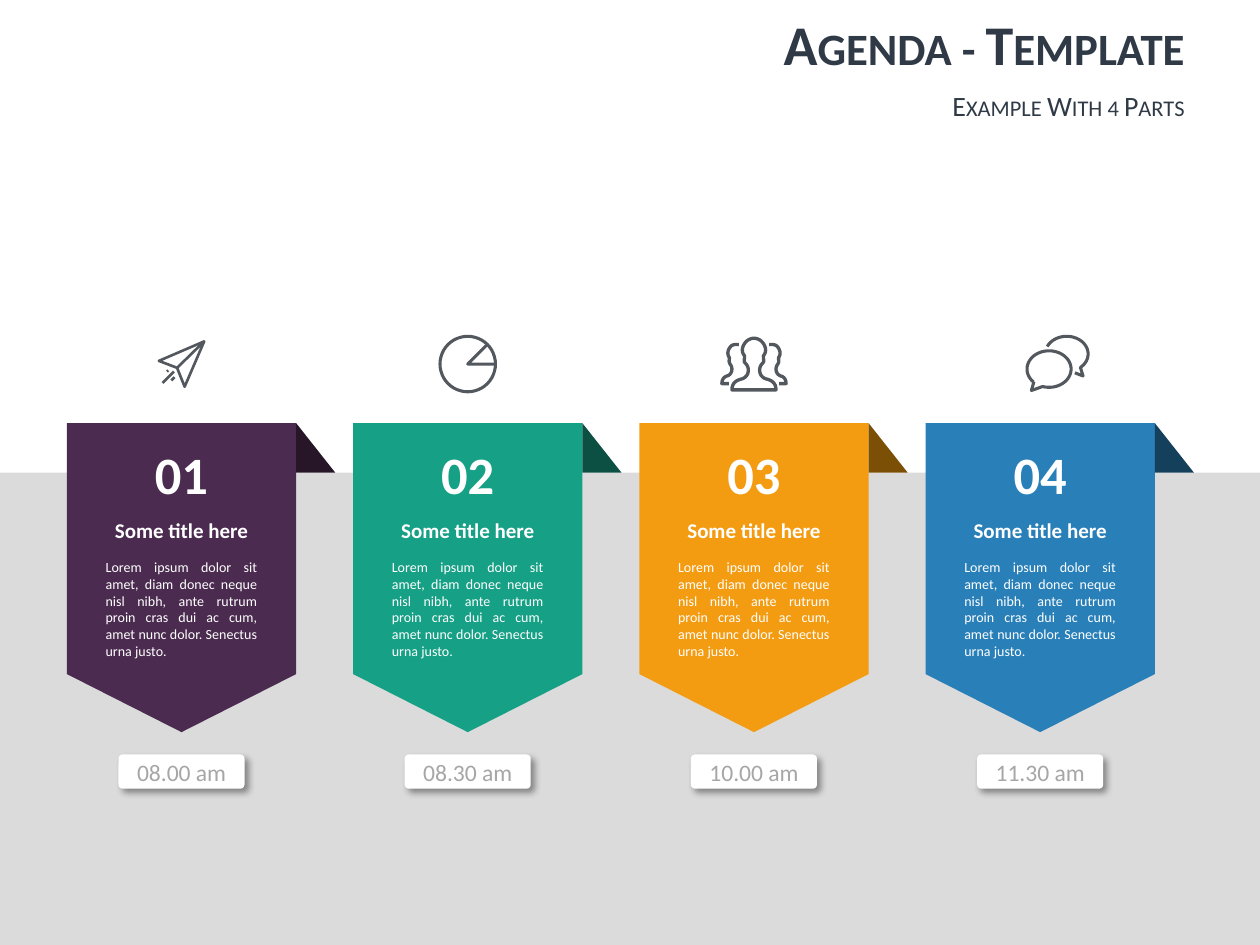
from math import cos, radians, sin

from lxml.etree import SubElement
from pptx import Presentation
from pptx.dml.color import RGBColor
from pptx.enum.shapes import MSO_SHAPE as Preset
from pptx.enum.text import MSO_ANCHOR as Anchor, PP_ALIGN as Align
from pptx.oxml.ns import qn
from pptx.util import Cm, Pt

COLORS = {
    "white": "FFFFFF", "floor": "DBDBDB", "heading": "2F3A46",
    "time": "A6A6A6", "icon": "53585F", "shadow": "000000",
}
TITLE = "Agenda - Template"
SUBTITLE = "Example With 4 Parts"
PART_TITLE = "Some title here"
PART_TEXT = ("Lorem ipsum dolor sit amet, diam donec neque nisl nibh, ante rutrum "
             "proin cras dui ac cum, amet nunc dolor. Senectus urna justo.")
PARTS = [  # time, banner colour, fold colour, icon
    ("08.00 am", "4B2C50", "261628", "plane"),
    ("08.30 am", "16A085", "0B5043", "pie"),
    ("10.00 am", "F39C12", "7C4F06", "people"),
    ("11.30 am", "2980B9", "14405C", "chat"),
]

# Positions in centimetres
FIRST_CENTER, PITCH = 3.66, 5.77
HALF_WIDTH, FOLD_WIDTH = 2.31, 0.79
BANNER_TOP, FLOOR_TOP, SHOULDER, TIP = 8.53, 9.53, 13.59, 14.76
ICON_CENTER, ICON_UNIT = 7.34, 0.0254


def arc(center, radii, start, end, steps=48):
    """Return points on an ellipse between two angles in degrees."""
    angles = [radians(start + (end - start) * i / steps) for i in range(steps + 1)]
    return [(center[0] + radii[0] * cos(a), center[1] + radii[1] * sin(a)) for a in angles]


def curve(start, *segments, steps=8):
    """Return points along joined cubic curves, each given by three points."""
    points = [start]
    for b, c, d in segments:
        a = points[-1]
        for i in range(1, steps + 1):
            t = i / steps
            u = 1 - t
            points.append(tuple(u**3 * p + 3 * u * u * t * q + 3 * u * t * t * r + t**3 * s
                                for p, q, r, s in zip(a, b, c, d)))
    return points


def mirror(points):
    """Reflect points across the vertical axis and reverse their order."""
    return [(-x, y) for x, y in reversed(points)]


front_half = curve(
    (-17.5, 20.5), ((-17.5, 15), (-14, 13), (-10.5, 12)), ((-7.5, 11.5), (-4.5, 9), (-4.5, 5)),
    ((-4.5, 1), (-6.5, 0), (-7.5, -1.5)), ((-8, -2), (-7.5, -4), (-7.5, -6.5)),
    ((-10.5, -10), (-9.5, -15), (-5.5, -18.5)), ((-3.5, -20), (-1.5, -20.5), (0, -20.5)))
side_person = [(-20, 15.5)] + curve(
    (-25.5, 15.5), ((-25.5, 12), (-23.5, 10), (-21.5, 9.5)), ((-19.5, 9), (-17.5, 7), (-17.5, 4)),
    ((-17.5, 1), (-19.5, 0), (-19.5, -1.5)), ((-20, -2), (-19.5, -3.5), (-19.5, -5)),
    ((-21.5, -8), (-21, -11), (-18.5, -14)), ((-16.5, -16), (-13.5, -15.5), (-12, -15.5)))
ICONS = {  # line width in points, contours around the icon centre
    "plane": (1.5, [
        [(-18, -2.5), (18, -18), (2.5, 18), (-3.5, 3), (-18, -2.5)],
        [(-3.5, 3), (18, -18)], [(-15, 15), (-6, 6)],
        [(-8, 13), (-5.5, 10.5)], [(-11.5, 6), (-10.5, 5)]]),
    "pie": (1.75, [arc((0, 0), (22, 22), 0, 360), [(22, 0), (0, 0), (15.5, -15.5)]]),
    "people": (1.9, [front_half + mirror(front_half) + front_half[:1],
                     side_person, mirror(side_person)]),
    "chat": (1.75, [
        arc((7, 4), (17.5, 14.5), 135, 467) + [(-7, 21), (-5, 14)],
        arc((21, -8), (17, 14), 205, 410) + [(34, 9.5), (27.5, 7)]]),
}


def rgb(value):
    """Return a colour from a hex string or a name in COLORS."""
    return RGBColor.from_string(COLORS.get(value, value))


def paint(shape, fill):
    """Give a shape a plain fill without line or shadow."""
    shape.shadow.inherit = False
    shape.fill.solid()
    shape.fill.fore_color.rgb = rgb(fill)
    shape.line.fill.background()


def draw_outline(slide, contours):
    """Build one freeform from contours given in centimetres."""
    contours = [[(Cm(x), Cm(y)) for x, y in contour] for contour in contours]
    builder = slide.shapes.build_freeform(*contours[0][0])
    for index, contour in enumerate(contours):
        if index:
            builder.move_to(*contour[0])
        builder.add_line_segments(contour[1:], close=False)
    return builder.convert_to_shape()


def draw_icon(slide, name, center):
    """Draw a line icon above a banner."""
    width, contours = ICONS[name]
    shape = draw_outline(slide, [[(center + x * ICON_UNIT, ICON_CENTER + y * ICON_UNIT)
                                  for x, y in contour] for contour in contours])
    shape.shadow.inherit = False
    shape.fill.background()
    shape.line.color.rgb = rgb("icon")
    shape.line.width = Pt(width)


def write(shape, lines, anchor=Anchor.TOP, margins=None):
    """Fill a shape with lines of (text, font values, paragraph values)."""
    frame = shape.text_frame
    frame.word_wrap = True
    frame.vertical_anchor = anchor
    if margins:
        for side, value in zip(("left", "top", "right", "bottom"), margins):
            setattr(frame, "margin_" + side, Cm(value))
    for index, (text, font, layout) in enumerate(lines):
        paragraph = frame.add_paragraph() if index else frame.paragraphs[0]
        for key, value in layout.items():
            setattr(paragraph, key, value)
        run = paragraph.add_run()
        run.text = text
        values = dict(font)
        run.font.color.rgb = rgb(values.pop("color"))
        if values.pop("small_caps", False):
            run.font._element.set("cap", "small")
        for key, value in {"name": "Calibri", **values}.items():
            setattr(run.font, key, value)


def add_text(slide, box, lines, **options):
    """Add a text box at left, top, width, height in centimetres."""
    write(slide.shapes.add_textbox(*map(Cm, box)), lines, **options)


def add_time(slide, center, time):
    """Add a raised rounded label with a starting time."""
    shape = slide.shapes.add_shape(
        Preset.ROUNDED_RECTANGLE, Cm(center - 1.27), Cm(15.21), Cm(2.54), Cm(0.69))
    shape.adjustments[0] = 0.12
    paint(shape, "white")
    effects = shape._element.spPr.find(qn("a:effectLst"))
    shadow = SubElement(effects, qn("a:outerShdw"), blurRad=str(Pt(4)), dist=str(Pt(3)),
                        dir="2700000", algn="tl", rotWithShape="0")
    color = SubElement(shadow, qn("a:srgbClr"), val=COLORS["shadow"])
    SubElement(color, qn("a:alpha"), val="40000")
    write(shape, [(time, {"size": Pt(13.5), "color": "time"}, {"alignment": Align.CENTER})],
          anchor=Anchor.MIDDLE, margins=(0.1, 0, 0.1, 0))


def add_part(slide, index, time, fill, fold, icon):
    """Add one agenda column."""
    center = FIRST_CENTER + index * PITCH
    left, right = center - HALF_WIDTH, center + HALF_WIDTH
    paint(draw_outline(slide, [[(left, BANNER_TOP), (left, SHOULDER), (center, TIP),
                                (right, SHOULDER), (right, BANNER_TOP), (left, BANNER_TOP)]]), fill)
    paint(draw_outline(slide, [[(right, BANNER_TOP), (right, FLOOR_TOP),
                                (right + FOLD_WIDTH, FLOOR_TOP), (right, BANNER_TOP)]]), fold)
    white_bold = {"color": "white", "bold": True}
    centered = {"alignment": Align.CENTER}
    add_text(slide, (center - 1.2, 8.92, 2.4, 1.27),
             [(f"{index + 1:02}", {"size": Pt(30), **white_bold}, centered)], margins=(0, 0, 0, 0))
    add_text(slide, (center - 1.78, 10.31, 3.56, 3.15), [
        (PART_TITLE, {"size": Pt(12), **white_bold}, centered),
        (PART_TEXT, {"size": Pt(8), "color": "white"},
         {"alignment": Align.JUSTIFY, "space_before": Pt(9)})])
    add_time(slide, center, time)
    draw_icon(slide, icon, center)


presentation = Presentation()
presentation.slide_width, presentation.slide_height = Cm(25.4), Cm(19.05)
slide = presentation.slides.add_slide(presentation.slide_layouts[6])
floor = slide.shapes.add_shape(Preset.RECTANGLE, 0, Cm(FLOOR_TOP), Cm(25.4), Cm(9.52))
paint(floor, "floor")
for index, part in enumerate(PARTS):
    add_part(slide, index, *part)
for text, top, height, size, bold in [(SUBTITLE, 1.73, 0.79, 16, False),
                                      (TITLE, 0, 1.73, 32, True)]:
    font = {"size": Pt(size), "bold": bold, "color": "heading", "small_caps": True}
    add_text(slide, (8.1, top, 16.03, height), [(text, font, {"alignment": Align.RIGHT})],
             anchor=Anchor.MIDDLE)
presentation.save("out.pptx")
